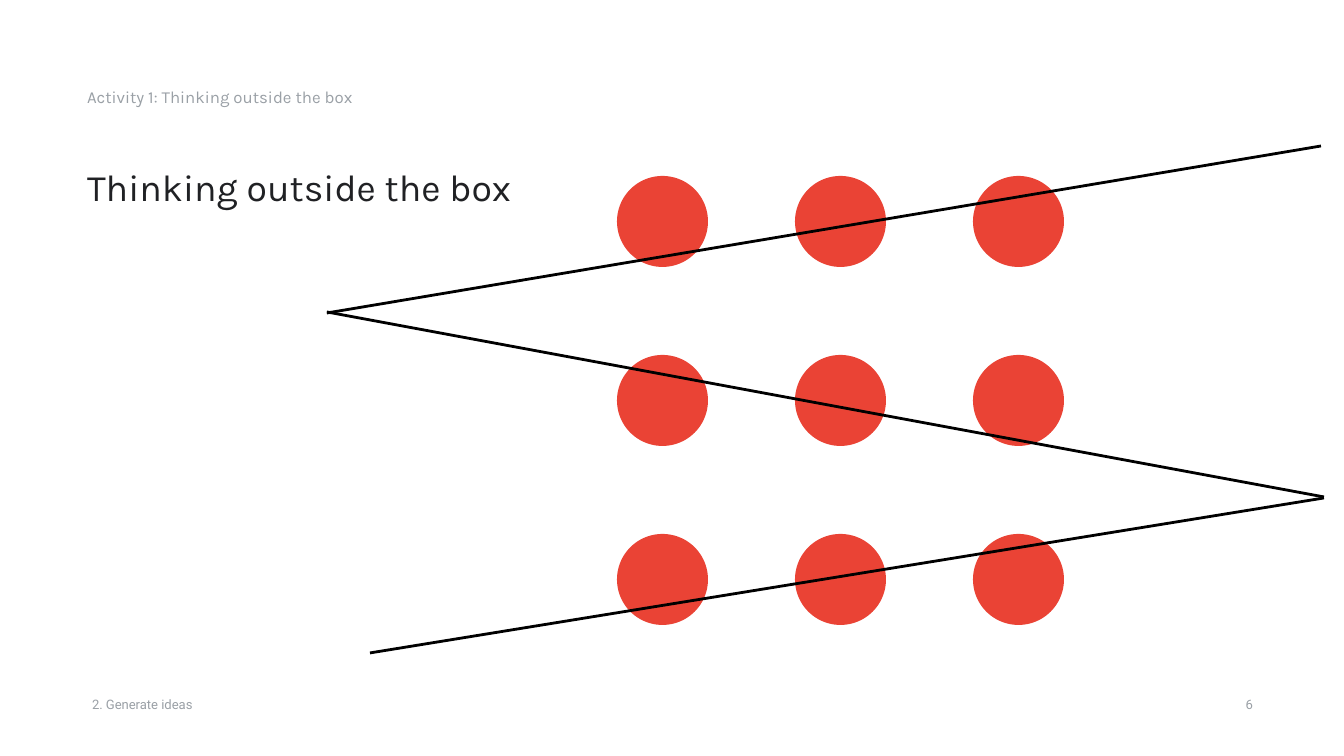
from lxml.etree import SubElement
from pptx import Presentation
from pptx.dml.color import RGBColor
from pptx.enum.shapes import MSO_CONNECTOR, MSO_SHAPE
from pptx.enum.text import MSO_ANCHOR as ANCHOR, PP_ALIGN as ALIGN
from pptx.oxml.ns import qn
from pptx.util import Pt

# Content: words, box (px), font, size, colour, line spacing, anchor, alignment
INK, GREY, RED, BLACK = "202124", "9AA0A6", "EA4335", "000000"
TITLE = ("Thinking outside the box", (74, 142, 1180, 69),
         "Karla", 20, INK, 1.2, ANCHOR.TOP, ALIGN.LEFT)
LABELS = [
    ("6", (1180, 675, 86, 58),
     "Roboto", 7, GREY, 1, ANCHOR.MIDDLE, ALIGN.RIGHT),
    ("Activity 1: Thinking outside the box", (74, 71, 724, 85),
     "Karla", 9, GREY, 1.2, ANCHOR.TOP, ALIGN.LEFT),
    ("2. Generate ideas", (79, 675, 388, 58),
     "Roboto", 7, GREY, 1, ANCHOR.MIDDLE, ALIGN.LEFT),
]

# Three-by-three dot grid and the strokes that cross it (px)
GRID_LEFT, GRID_TOP, DOT = 617, 176, 91
COLUMN_STEP, ROW_STEP = 178, 179
STROKES = [
    ((1321, 146), (327, 313)),
    ((327, 312), (1324, 497)),
    ((1324, 498), (370, 653)),
]

SCALE = 914400 / 134.4
MARGIN = 13


def px(length):
    return round(length * SCALE)


def rgb(colour):
    return RGBColor.from_string(colour)


def add_label(slide, words, box, font, size, colour, spacing, anchor, align):
    frame = slide.shapes.add_textbox(*map(px, box)).text_frame
    frame.word_wrap = True
    frame.vertical_anchor = anchor
    frame.margin_left = frame.margin_right = px(MARGIN)
    frame.margin_top = frame.margin_bottom = px(MARGIN)
    line = frame.paragraphs[0]
    line.text = words
    line.alignment = align
    line.line_spacing = spacing
    line.font.name = font
    line.font.size = Pt(size)
    line.font.color.rgb = rgb(colour)


def add_dot(slide, left, top):
    dot = slide.shapes.add_shape(MSO_SHAPE.OVAL, px(left), px(top), px(DOT), px(DOT))
    dot.shadow.inherit = False
    dot.fill.solid()
    dot.fill.fore_color.rgb = rgb(RED)
    dot.line.fill.background()


def add_stroke(slide, start, end):
    stroke = slide.shapes.add_connector(MSO_CONNECTOR.STRAIGHT, *map(px, start + end))
    stroke.line.color.rgb = rgb(BLACK)
    stroke.line.width = Pt(1.5)
    SubElement(stroke._element.spPr, qn("a:effectLst"))


def main():
    deck = Presentation()
    deck.slide_width, deck.slide_height = px(1344), px(756)
    slide = deck.slides.add_slide(deck.slide_layouts[6])

    add_label(slide, *TITLE)

    # Nine dots
    for row in range(3):
        for column in range(3):
            add_dot(slide, GRID_LEFT + column * COLUMN_STEP, GRID_TOP + row * ROW_STEP)

    # Zigzag through the dots
    for start, end in STROKES:
        add_stroke(slide, start, end)

    # Page number, activity name and footer
    for label in LABELS:
        add_label(slide, *label)

    deck.save("out.pptx")


if __name__ == "__main__":
    main()
